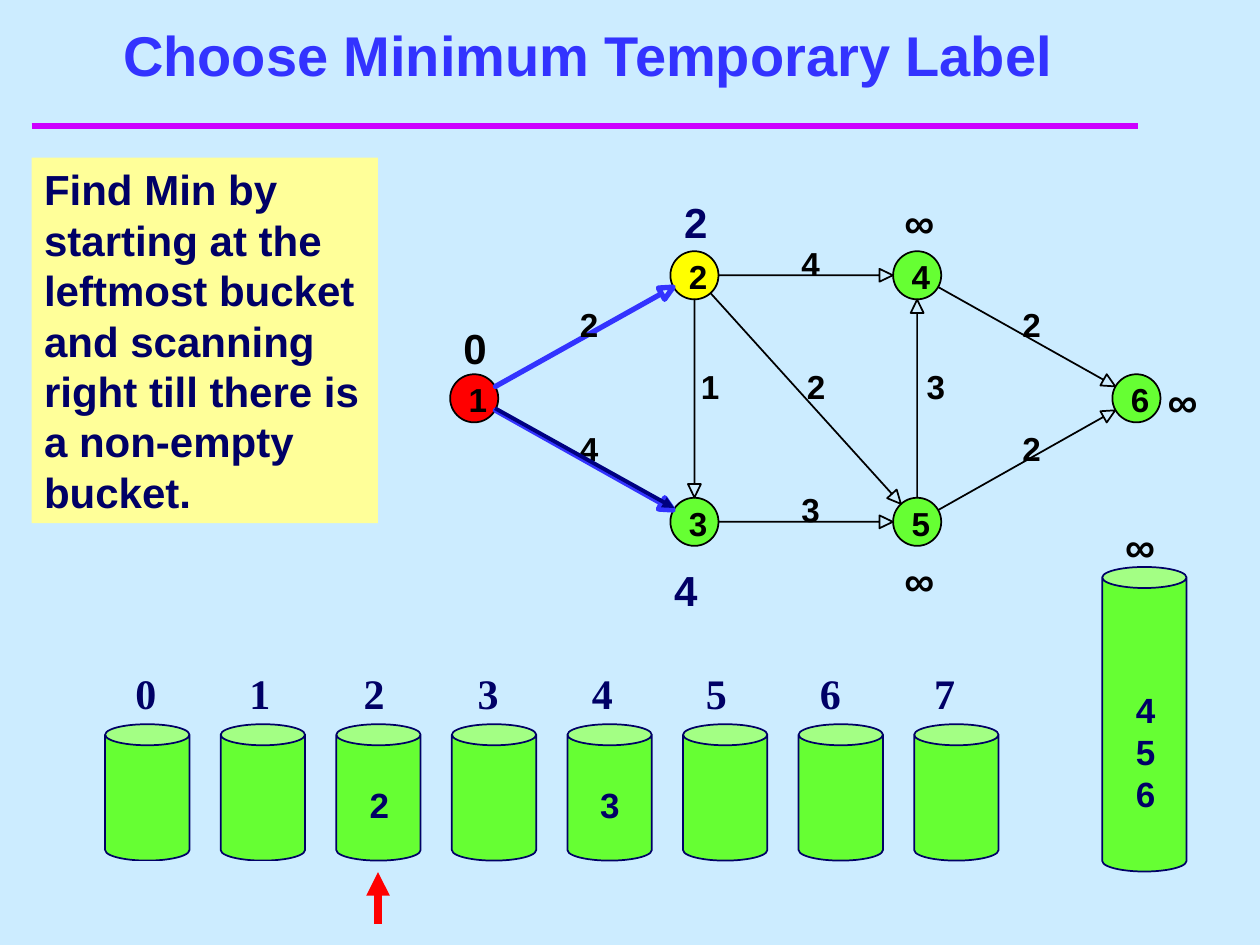
from dataclasses import dataclass
from math import hypot
from lxml.etree import SubElement
from pptx import Presentation
from pptx.dml.color import RGBColor
from pptx.enum.shapes import MSO_CONNECTOR, MSO_SHAPE
from pptx.enum.text import MSO_ANCHOR, PP_ALIGN
from pptx.oxml.ns import qn
from pptx.util import Cm, Pt


@dataclass(frozen=True)
class Theme:
    sky: str = "CCECFF"
    blue: str = "3333FF"
    navy: str = "000066"
    path_navy: str = "000080"
    black: str = "000000"
    red: str = "FF0000"
    green: str = "66FF33"
    yellow: str = "FFFF00"
    cream: str = "FFFF99"
    magenta: str = "CC00FF"
    sans: str = "Arial"
    serif: str = "Times New Roman"
    title_size: int = 32
    body_size: int = 24
    content_size: int = 20
    graph_size: int = 19


theme = Theme()


def paint(shape, fill=None, line=None, width=1):
    shape.shadow.inherit = False
    if fill:
        shape.fill.solid()
        shape.fill.fore_color.rgb = RGBColor.from_string(fill)
    else:
        shape.fill.background()
    if line:
        shape.line.color.rgb = RGBColor.from_string(line)
        shape.line.width = Pt(width)
    else:
        shape.line.fill.background()


def write(text, left, top, width, height, size, color, font=theme.sans, tight=False):
    box = slide.shapes.add_textbox(Cm(left), Cm(top), Cm(width), Cm(height))
    frame = box.text_frame
    frame.word_wrap = not tight
    if tight:
        frame.margin_left = frame.margin_right = 0
        frame.margin_top = frame.margin_bottom = 0
    frame.text = text
    run_font = frame.paragraphs[0].runs[0].font
    run_font.name, run_font.size, run_font.bold = font, Pt(size), True
    run_font.color.rgb = RGBColor.from_string(color)
    return box


deck = Presentation()
deck.slide_width, deck.slide_height = Cm(25.4), Cm(19.05)
slide = deck.slides.add_slide(deck.slide_layouts[6])
slide.background.fill.solid()
slide.background.fill.fore_color.rgb = RGBColor.from_string(theme.sky)

title = write("Choose Minimum Temporary Label", 1.06, 0.42, 21.6, 1.48,
              theme.title_size, theme.blue)
title.text_frame.vertical_anchor = MSO_ANCHOR.BOTTOM
title.text_frame.paragraphs[0].alignment = PP_ALIGN.CENTER

explanation = write(
    "Find Min by starting at the leftmost bucket and scanning right "
    "till there is a non-empty bucket.",
    0.64, 3.18, 6.98, 7.37, theme.body_size, theme.navy)
explanation.fill.solid()
explanation.fill.fore_color.rgb = RGBColor.from_string(theme.cream)

buckets = [(2.12 + 2.33 * number, 14.6, 2.75) for number in range(8)]
buckets.append((22.22, 11.43, 6.14))
for left, top, height in buckets:
    bucket = slide.shapes.add_shape(MSO_SHAPE.CAN, Cm(left), Cm(top), Cm(1.7), Cm(height))
    paint(bucket, theme.green, theme.navy)

for number in range(8):
    write(str(number), 2.48 + 2.3 * number, 13.34, 1.27, 1.27,
          theme.body_size, theme.navy, theme.serif)

bucket_contents = [("4", 22.65, 13.75), ("5", 22.65, 14.6), ("6", 22.65, 15.45),
                   ("2", 7.2, 15.66), ("3", 11.85, 15.66)]
for node, left, top in bucket_contents:
    write(node, left, top, 0.85, 1.11, theme.content_size, theme.navy)

for left in (2.12, 4.45):
    bucket_base = slide.shapes.add_shape(
        MSO_SHAPE.RECTANGLE, Cm(left), Cm(17.36), Cm(1.9), Cm(1.48))
    paint(bucket_base, theme.sky)

nodes = {
    1: (9.56, 8.03, theme.red),
    2: (14, 5.55, theme.yellow),
    3: (14, 10.52, theme.green),
    4: (18.49, 5.55, theme.green),
    5: (18.49, 10.52, theme.green),
    6: (22.91, 8.03, theme.green),
}
diameter = 0.97
for number, (x, y, color) in nodes.items():
    node = slide.shapes.add_shape(
        MSO_SHAPE.OVAL, Cm(x - diameter / 2), Cm(y - diameter / 2), Cm(diameter), Cm(diameter))
    paint(node, color, theme.black)
    write(str(number), x - 0.11, y - 0.38, 0.38, 0.81,
          theme.graph_size, theme.black, tight=True)

edges = [
    (1, 2, "2", -0.09, theme.blue, 3),
    (2, 4, "4", -0.09, theme.black, 1),
    (2, 5, "2", 0.02, theme.black, 1),
    (2, 3, "1", 0.13, theme.black, 1),
    (3, 5, "3", -0.09, theme.black, 1),
    (1, 3, "4", -0.09, theme.blue, 3),
    (4, 6, "2", -0.09, theme.black, 1),
    (5, 4, "3", 0.19, theme.black, 1),
    (5, 6, "2", -0.09, theme.black, 1),
]
gap, head_length, head_half = 0.49, 0.27, 0.13
for source, target, cost, shift, color, width in edges:
    x1, y1, _ = nodes[source]
    x2, y2, _ = nodes[target]
    length = hypot(x2 - x1, y2 - y1)
    dx, dy = (x2 - x1) / length, (y2 - y1) / length
    tip = length - gap
    neck = tip - head_length
    outline = [(gap, 0), (neck, 0), (neck, head_half), (tip, 0),
               (neck, -head_half), (neck, 0)]
    points = [(Cm(x1 + along * dx - across * dy), Cm(y1 + along * dy + across * dx))
              for along, across in outline]
    builder = slide.shapes.build_freeform(*points[0])
    builder.add_line_segments(points[1:], close=True)
    paint(builder.convert_to_shape(), line=color, width=width)
    write(cost, (x1 + x2) / 2 + shift, (y1 + y2) / 2 - 0.65, 0.38, 0.81,
          theme.graph_size, theme.black, tight=True)

distance_labels = [
    ("2", 13.54, 3.84, theme.navy), ("4", 13.34, 11.25, theme.navy),
    ("0", 9.09, 6.38, theme.black), ("∞", 17.98, 3.84, theme.black),
    ("∞", 17.98, 11.05, theme.black), ("∞", 23.29, 7.44, theme.black),
    ("∞", 22.43, 10.36, theme.black),
]
for distance, left, top, color in distance_labels:
    write(distance, left, top, 1.06, 1.27, theme.body_size, color)

lines = [
    (0.64, 2.54, 22.94, 2.54, theme.magenta, 4, False),
    (7.62, 18.62, 7.62, 17.58, theme.red, 4.5, True),
    (9.98, 8.23, 13.59, 10.24, theme.path_navy, 2.25, True),
]
for x1, y1, x2, y2, color, width, arrow in lines:
    line = slide.shapes.add_connector(MSO_CONNECTOR.STRAIGHT, Cm(x1), Cm(y1), Cm(x2), Cm(y2))
    line.line.color.rgb = RGBColor.from_string(color)
    line.line.width = Pt(width)
    if arrow:
        SubElement(line.line._get_or_add_ln(), qn("a:tailEnd"), type="triangle")
    SubElement(line._element.spPr, qn("a:effectLst"))

deck.save("out.pptx")
